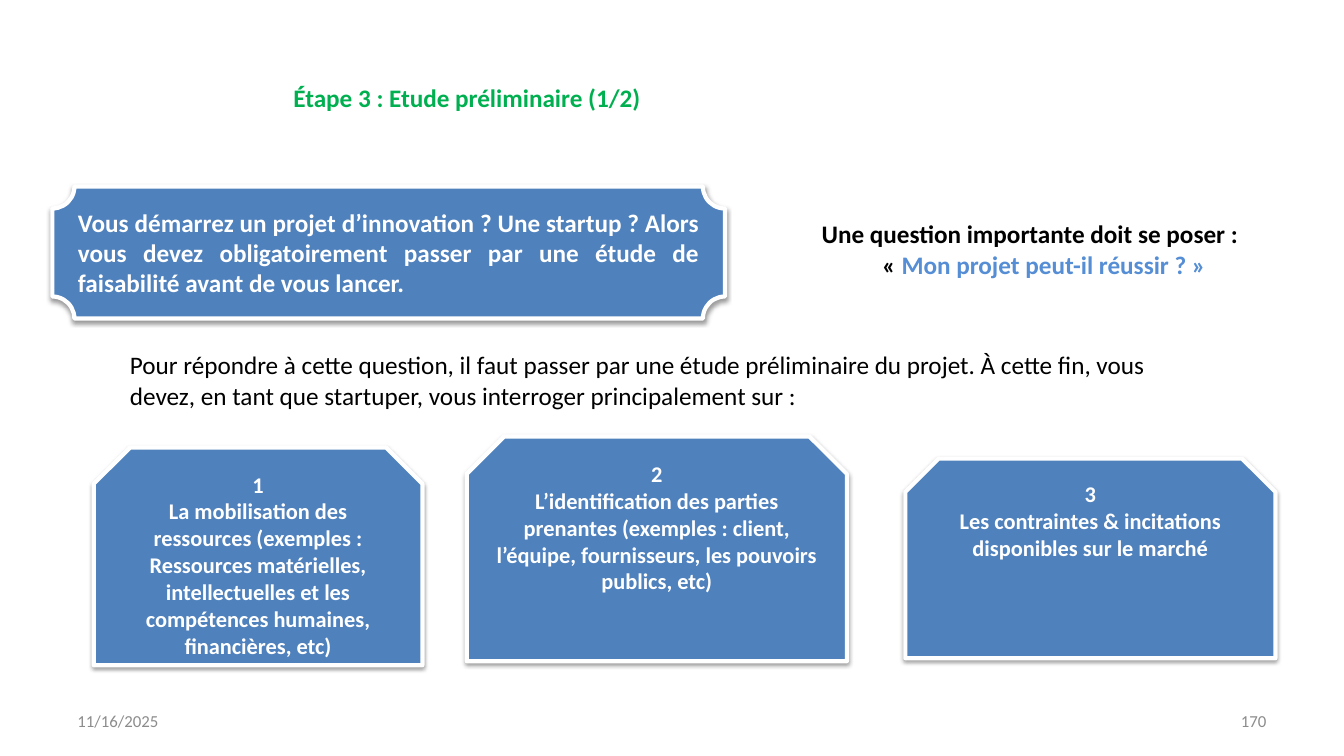
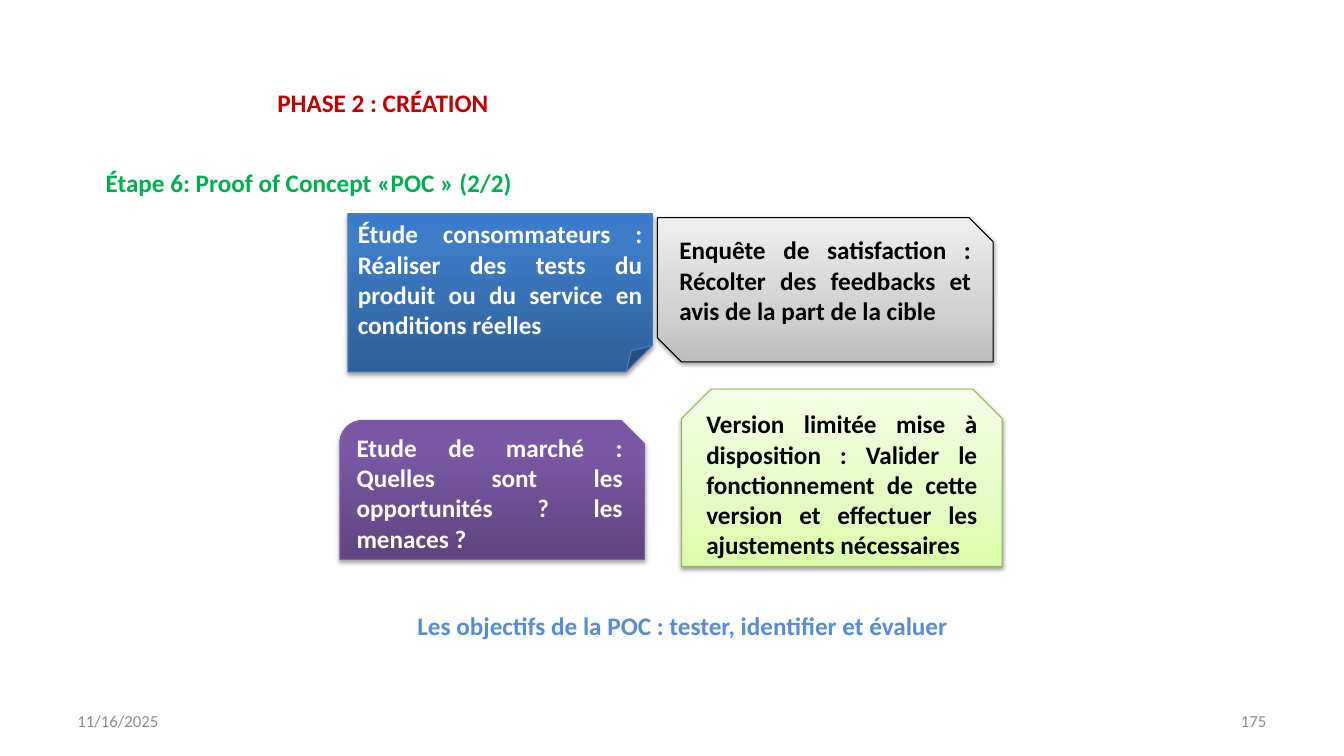
"""Build two slides on the preliminary study and the proof of concept of a startup project."""
from dataclasses import dataclass

from lxml import etree
from pptx import Presentation
from pptx import util as u
from pptx.dml.color import RGBColor
from pptx.enum import shapes, text
from pptx.oxml.ns import qn

SHAPE = shapes.MSO_SHAPE
LEFT, CENTER, RIGHT, JUSTIFY = (
    text.PP_ALIGN.LEFT, text.PP_ALIGN.CENTER, text.PP_ALIGN.RIGHT, text.PP_ALIGN.JUSTIFY)


@dataclass(frozen=True)
class Theme:
    font: str = "Calibri"
    body: int = 18
    card: int = 16
    footer: int = 12
    black: str = "000000"
    white: str = "FFFFFF"
    blue: str = "4F81BD"
    accent: str = "558ED5"
    step: str = "00B050"
    phase: str = "C00000"
    grey: str = "8C8C8C"


THEME = Theme()
WIDTH, HEIGHT = 13.33, 7.5
DATE = "11/16/2025"
FOOTER_TOP, FOOTER_WIDTH, FOOTER_HEIGHT, MARGIN = 6.95, 3.11, 0.4, 0.67
LINE_HEIGHT = 0.4

SOFT_SHADOW = {"alpha": 38, "distance": 20000}
DEEP_SHADOW = {"alpha": 35, "distance": 23000}

STUDY_TITLE = ("Étape 3 : Etude préliminaire (1/2)", (2.81, 0.77, 3.68, LINE_HEIGHT), THEME.step)
STUDY_CALL = (
    "Vous démarrez un projet d’innovation ? Une startup ? Alors vous devez obligatoirement "
    "passer par une étude de faisabilité avant de vous lancer.")
STUDY_QUESTION = ("Une question importante doit se poser :", "« ", "Mon projet peut-il réussir ? »")
STUDY_INTRO = (
    "Pour répondre à cette question, il faut passer par une étude préliminaire du projet. "
    "À cette fin, vous devez, en tant que startuper, vous interroger principalement sur :")
STUDY_TOPICS = [
    ("La mobilisation des ressources (exemples : Ressources matérielles, intellectuelles "
     "et les compétences humaines, financières, etc)", (0.93, 4.44, 3.26, 2.16)),
    ("L’identification des parties prenantes (exemples : client, l’équipe, fournisseurs, "
     "les pouvoirs publics, etc)", (4.63, 4.33, 3.77, 2.23)),
    ("Les contraintes & incitations disponibles sur le marché", (8.98, 4.55, 3.67, 1.98)),
]

CONCEPT_TITLE = ("PHASE 2 : CRÉATION", (2.65, 0.82, 2.32, LINE_HEIGHT), THEME.phase)
CONCEPT_LINES = [
    ("Étape 6: Proof of Concept «POC » (2/2)", (0.95, 1.61, 4.27, LINE_HEIGHT), THEME.step),
    ("Les objectifs de la POC : tester, identifier et évaluer",
     (4.04, 6.01, 5.51, LINE_HEIGHT), THEME.accent),
]
CONCEPT_CARDS = [
    ("Étude consommateurs : Réaliser des tests du produit ou du service en conditions réelles",
     SHAPE.FOLDED_CORNER, (3.45, 2.12, 3.02, 1.57),
     [(0, "2F5F99"), (80, "3D7CC7"), (100, "3A7CCB")], "4B7EBC", THEME.white, DEEP_SHADOW),
    ("Enquête de satisfaction : Récolter des feedbacks et avis de la part de la cible",
     SHAPE.SNIP_2_DIAG_RECTANGLE, (6.52, 2.16, 3.33, 1.43),
     [(0, "BDBDBD"), (35, "D1D1D1"), (100, "EEEEEE")], THEME.black, THEME.black, SOFT_SHADOW),
    ("Etude de marché : Quelles sont les opportunités ? les menaces ?",
     SHAPE.SNIP_ROUND_RECTANGLE, (3.37, 4.17, 3.02, 1.38),
     [(0, "5F4480"), (80, "7B58A6"), (100, "7C57A8")], "7D60A0", THEME.white, DEEP_SHADOW),
    ("Version limitée mise à disposition : Valider le fonctionnement de cette version "
     "et effectuer les ajustements nécessaires",
     SHAPE.SNIP_2_SAME_RECTANGLE, (6.76, 3.86, 3.18, 1.76),
     [(0, "DAFDA7"), (35, "E4FCC2"), (100, "F5FFE7")], "98B955", THEME.black, SOFT_SHADOW),
]


def inches(box):
    return [u.Inches(value) for value in box]


def rgb(value):
    return RGBColor.from_string(value)


def write(shape, paragraphs, color, size=THEME.body, bold=True, align=LEFT, wrap=True,
          anchor=text.MSO_ANCHOR.TOP, fit=text.MSO_AUTO_SIZE.SHAPE_TO_FIT_TEXT):
    frame = shape.text_frame
    frame.text = "\n".join(paragraphs)
    frame.word_wrap, frame.vertical_anchor, frame.auto_size = wrap, anchor, fit
    for paragraph in frame.paragraphs:
        paragraph.alignment = align
        font = paragraph.font
        font.name, font.size, font.bold = THEME.font, u.Pt(size), bold
        font.color.rgb = rgb(color)
    return frame


def add_text(slide, box, paragraphs, color, **style):
    return write(slide.shapes.add_textbox(*inches(box)), paragraphs, color, **style)


def add_shadow(shape, alpha, distance):
    shape.shadow.inherit = False
    effects = shape._element.spPr.find(qn("a:effectLst"))
    shadow = etree.SubElement(effects, qn("a:outerShdw"), blurRad="40000", dist=str(distance),
                              dir="5400000", rotWithShape="0")
    color = etree.SubElement(shadow, qn("a:srgbClr"), val=THEME.black)
    etree.SubElement(color, qn("a:alpha"), val=str(alpha * 1000))


def fill_gradient(shape, stops):
    shape.fill.gradient()
    shape.fill.gradient_angle = 90
    stop_list = shape._element.spPr.find(qn("a:gradFill")).find(qn("a:gsLst"))
    for stop in list(stop_list):
        stop_list.remove(stop)
    for position, color in stops:
        stop = etree.SubElement(stop_list, qn("a:gs"), pos=str(position * 1000))
        etree.SubElement(stop, qn("a:srgbClr"), val=color)


def add_card(slide, kind, box, paragraphs, color=THEME.white, stops=None, line=THEME.white,
             line_width=3, shadow=SOFT_SHADOW, **style):
    card = slide.shapes.add_shape(kind, *inches(box))
    if stops:
        fill_gradient(card, stops)
    else:
        card.fill.solid()
        card.fill.fore_color.rgb = rgb(THEME.blue)
    card.line.color.rgb = rgb(line)
    card.line.width = u.Pt(line_width)
    add_shadow(card, **shadow)
    write(card, paragraphs, color, **style)


def start_slide(presentation, title, number):
    slide = presentation.slides.add_slide(presentation.slide_layouts[5])
    words, box, color = title
    heading = slide.shapes.title
    heading.left, heading.top, heading.width, heading.height = inches(box)
    write(heading, [words], color, wrap=False)
    for label, left, align in ((DATE, MARGIN, LEFT),
                               (str(number), WIDTH - MARGIN - FOOTER_WIDTH, RIGHT)):
        add_text(slide, (left, FOOTER_TOP, FOOTER_WIDTH, FOOTER_HEIGHT), [label], THEME.grey,
                 size=THEME.footer, bold=False, align=align,
                 anchor=text.MSO_ANCHOR.MIDDLE, fit=text.MSO_AUTO_SIZE.NONE)
    return slide


def build_study(presentation):
    slide = start_slide(presentation, STUDY_TITLE, 170)
    add_card(slide, SHAPE.PLAQUE, (0.52, 1.85, 6.67, 1.31), [STUDY_CALL], align=JUSTIFY)
    lead, quote, question = STUDY_QUESTION
    frame = add_text(slide, (7.84, 2.12, 4.75, 0.71), [lead, quote], THEME.black, align=CENTER)
    answer = frame.paragraphs[1]
    answer._p.get_or_add_pPr().set("marL", str(u.Inches(0.28)))
    run = answer.add_run()
    run.text = question
    run.font.name, run.font.size, run.font.bold = THEME.font, u.Pt(THEME.body), True
    run.font.color.rgb = rgb(THEME.accent)
    add_text(slide, (1.19, 3.42, 10.57, 0.71), [STUDY_INTRO], THEME.black, bold=False)
    for number, (topic, box) in enumerate(STUDY_TOPICS, 1):
        add_card(slide, SHAPE.SNIP_2_SAME_RECTANGLE, box, [str(number), topic],
                 size=THEME.card, align=CENTER)


def build_concept(presentation):
    slide = start_slide(presentation, CONCEPT_TITLE, 175)
    for words, box, color in CONCEPT_LINES:
        add_text(slide, box, [words], color, wrap=False)
    for words, kind, box, stops, line, color, shadow in CONCEPT_CARDS:
        add_card(slide, kind, box, [words], color, stops, line, 0.75, shadow, align=JUSTIFY)


def main():
    presentation = Presentation()
    presentation.slide_width, presentation.slide_height = inches((WIDTH, HEIGHT))
    build_study(presentation)
    build_concept(presentation)
    presentation.save("out.pptx")


if __name__ == "__main__":
    main()
